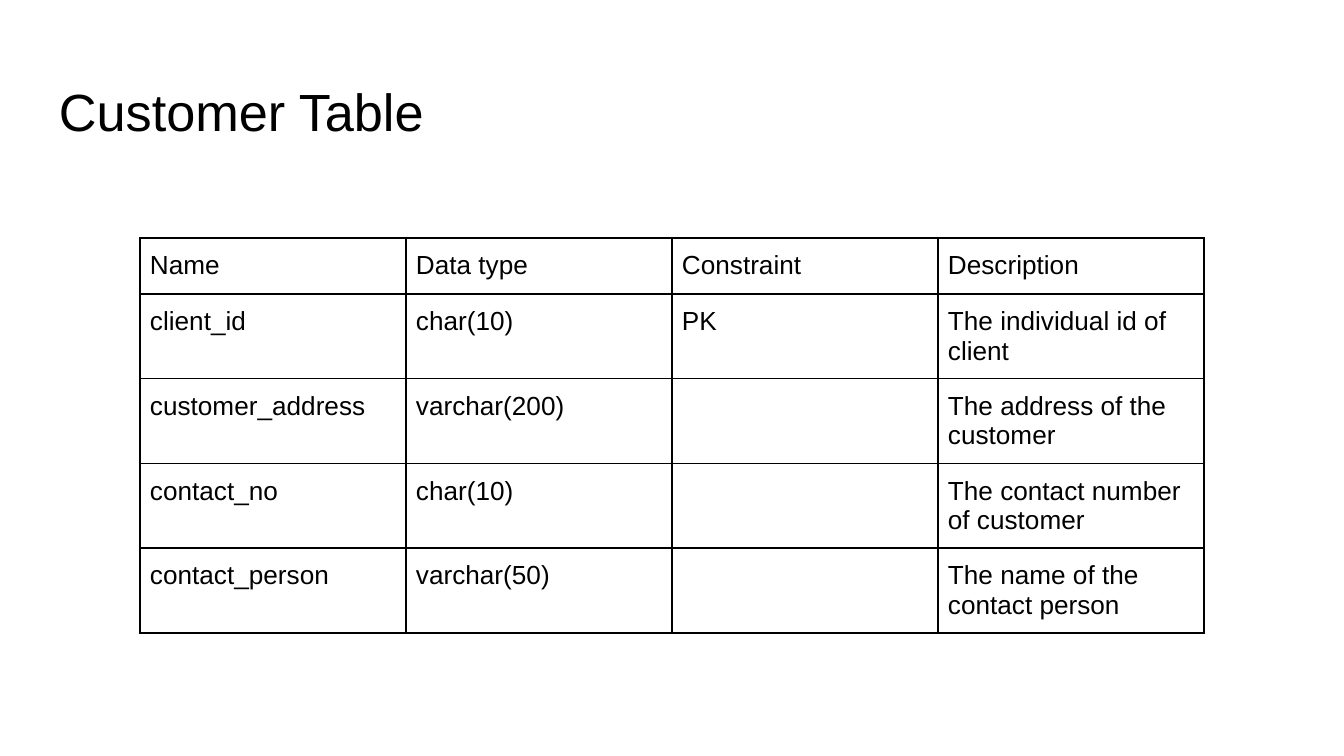
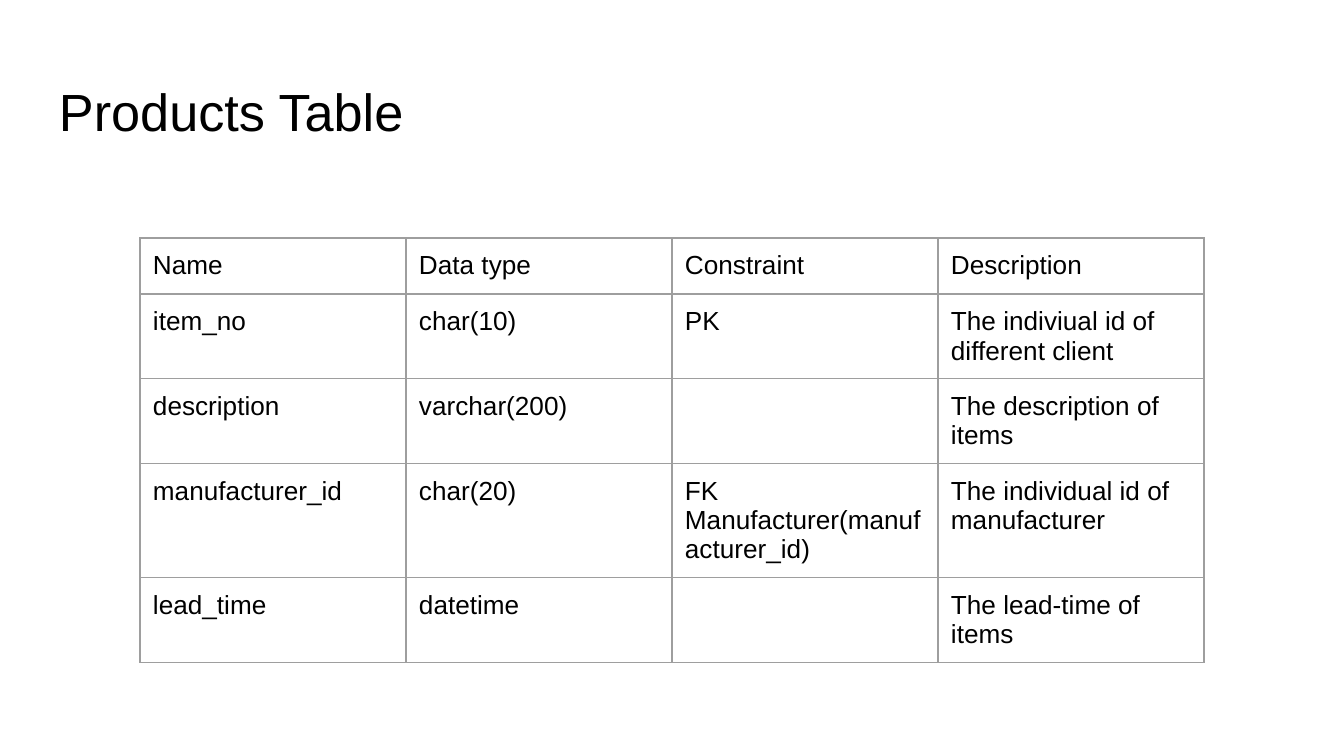
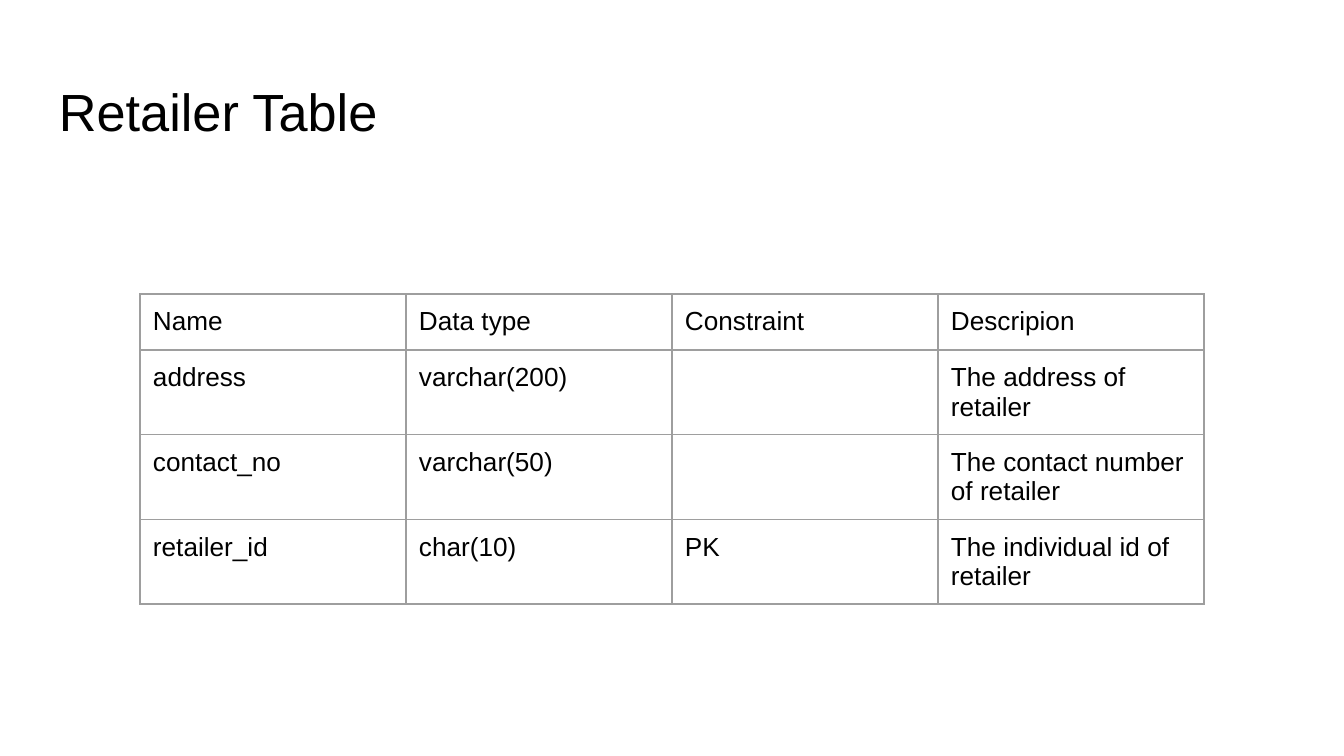
from lxml import etree
from pptx import Presentation
from pptx import util as u
from pptx.dml.color import RGBColor
from pptx.enum import text
from pptx.oxml.ns import qn

PX_PER_INCH = 134.4
FONT = "Arial"
INK = "000000"
GREY = "9E9E9E"
SLIDE_SIZE = (1344, 756)
TITLE_BOX = (46, 66, 1252, 84)
TITLE_ONLY = 5
PAD = 13
COLUMN_WIDTH, ROW_HEIGHT = 266, 56
GRID_LEFT, GRID_TOP = 140, 238

FIELD_TABLES = [
    {
        "title": "Customer Table",
        "top": GRID_TOP,
        "border": (INK, 1),
        "side_pad": 10,
        "rows": [
            ("Name", "Data type", "Constraint", "Description"),
            ("client_id", "char(10)", "PK", "The individual id of client"),
            ("customer_address", "varchar(200)", "", "The address of the customer"),
            ("contact_no", "char(10)", "", "The contact number of customer"),
            ("contact_person", "varchar(50)", "", "The name of the contact person"),
        ],
    },
    {
        "title": "Products Table",
        "top": GRID_TOP,
        "border": (GREY, 0.75),
        "side_pad": PAD,
        "rows": [
            ("Name", "Data type", "Constraint", "Description"),
            ("item_no", "char(10)", "PK", "The indiviual id of different client"),
            ("description", "varchar(200)", "", "The description of items"),
            ("manufacturer_id", "char(20)", "FK Manufacturer(manufacturer_id)",
             "The individual id of manufacturer"),
            ("lead_time", "datetime", "", "The lead-time of items"),
        ],
    },
    {
        "title": "Retailer Table",
        "top": GRID_TOP + ROW_HEIGHT,
        "border": (GREY, 0.75),
        "side_pad": PAD,
        "rows": [
            ("Name", "Data type", "Constraint", "Descripion"),
            ("address", "varchar(200)", "", "The address of retailer"),
            ("contact_no", "varchar(50)", "", "The contact number of retailer"),
            ("retailer_id", "char(10)", "PK", "The individual id of retailer"),
        ],
    },
]


def px(length):
    return u.Emu(round(length * 914400 / PX_PER_INCH))


def color(value):
    return RGBColor.from_string(value)


def set_all(target, values):
    for name, value in values.items():
        setattr(target, name, value)


def write(paragraph, words, size):
    run = paragraph.add_run()
    run.text = words
    set_all(run.font, {"name": FONT, "size": u.Pt(size), "bold": False})
    run.font.color.rgb = color(INK)


def margins(side, upright):
    return {"margin_left": px(side), "margin_right": px(side),
            "margin_top": px(upright), "margin_bottom": px(upright)}


def draw_title(slide, box, words):
    title = slide.shapes.title
    set_all(title, dict(zip(("left", "top", "width", "height"), map(px, box))))
    frame = title.text_frame
    set_all(frame, {**margins(PAD, PAD), "word_wrap": True,
                    "auto_size": text.MSO_AUTO_SIZE.NONE,
                    "vertical_anchor": text.MSO_ANCHOR.TOP})
    frame.paragraphs[0].alignment = text.PP_ALIGN.LEFT
    write(frame.paragraphs[0], words, 28)


def draw_borders(cell, hex_color, points):
    properties = cell._tc.get_or_add_tcPr()
    for side in ("a:lnL", "a:lnR", "a:lnT", "a:lnB"):
        line = etree.SubElement(properties, qn(side), w=str(u.Pt(points)))
        fill = etree.SubElement(line, qn("a:solidFill"))
        etree.SubElement(fill, qn("a:srgbClr"), val=hex_color)


def draw_field_table(slide, left, top, rows, border, side_pad):
    columns = len(rows[0])
    grid = slide.shapes.add_table(
        len(rows), columns, px(left), px(top),
        px(columns * COLUMN_WIDTH), px(len(rows) * ROW_HEIGHT)).table
    set_all(grid, {"first_row": False, "horz_banding": False})
    for r, row in enumerate(rows):
        for c, words in enumerate(row):
            cell = grid.cell(r, c)
            set_all(cell, margins(side_pad, PAD))
            draw_borders(cell, *border)
            cell.fill.background()
            if words:
                write(cell.text_frame.paragraphs[0], words, 14)


def add_field_slide(deck, content):
    slide = deck.slides.add_slide(deck.slide_layouts[TITLE_ONLY])
    draw_title(slide, TITLE_BOX, content["title"])
    draw_field_table(slide, GRID_LEFT, content["top"], content["rows"],
                     content["border"], content["side_pad"])


def main():
    deck = Presentation()
    deck.slide_width, deck.slide_height = map(px, SLIDE_SIZE)
    for content in FIELD_TABLES:
        add_field_slide(deck, content)
    deck.save("out.pptx")


if __name__ == "__main__":
    main()
